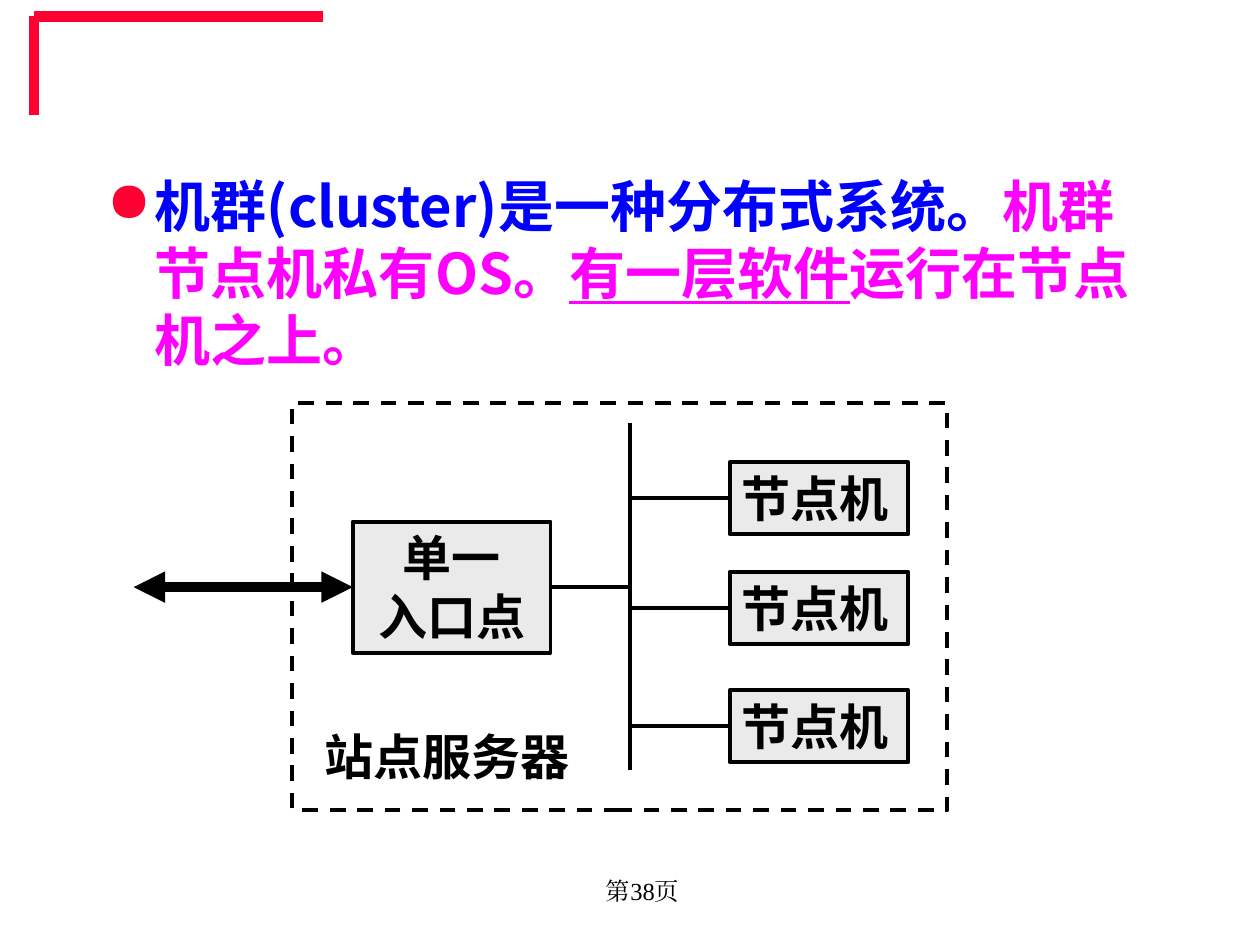
from pptx import Presentation
from pptx.dml.color import RGBColor
from pptx.enum.dml import MSO_LINE
from pptx.enum.shapes import MSO_CONNECTOR, MSO_SHAPE
from pptx.enum.text import MSO_ANCHOR, PP_ALIGN
from pptx.oxml.ns import qn
from pptx.util import Inches, Pt
from lxml.etree import SubElement

SANS, SERIF = "Noto Sans CJK SC", "Times New Roman"
BLACK, RED, BLUE, PINK, GREY = "000000", "FF0033", "0000FF", "FF00FF", "EAEAEA"


def rgb(value):
    return RGBColor.from_string(value)


class Deck:
    def __init__(self, prs):
        self.s = prs.slides.add_slide(prs.slide_layouts[6])

    def run(self, p, text, size=28, color=BLACK, font=SANS, bold=True, underline=None):
        r = p.add_run()
        r.text = text
        f = r.font
        f.size, f.bold, f.underline, f.name = Pt(size), bold, underline, font
        f.color.rgb = rgb(color)
        SubElement(r._r.get_or_add_rPr(), qn("a:ea")).set("typeface", font)

    def paragraph(self, tf, first=True, align=PP_ALIGN.LEFT):
        p = tf.paragraphs[0] if first else tf.add_paragraph()
        p.alignment = align
        return p

    def bullet(self, p, char, color, indent=0.38):
        pPr = p._p.get_or_add_pPr()
        pPr.set("marL", str(Inches(indent)))
        pPr.set("indent", str(-Inches(indent)))
        SubElement(SubElement(pPr, qn("a:buClr")), qn("a:srgbClr")).set("val", color)
        SubElement(pPr, qn("a:buChar")).set("char", char)

    def textbox(self, x, y, w, h, anchor=MSO_ANCHOR.TOP):
        sp = self.s.shapes.add_textbox(Inches(x), Inches(y), Inches(w), Inches(h))
        tf = sp.text_frame
        tf.word_wrap, tf.vertical_anchor = True, anchor
        return tf

    def box(self, x, y, w, h, lines=(), fill=None, align=PP_ALIGN.LEFT, dash=None):
        sp = self.s.shapes.add_shape(
            MSO_SHAPE.RECTANGLE, Inches(x), Inches(y), Inches(w), Inches(h))
        sp.shadow.inherit = False
        if fill:
            sp.fill.solid()
            sp.fill.fore_color.rgb = rgb(fill)
        else:
            sp.fill.background()
        sp.line.color.rgb, sp.line.width = rgb(BLACK), Pt(2.25)
        if dash:
            sp.line.dash_style = dash
        tf = sp.text_frame
        tf.word_wrap, tf.vertical_anchor = True, MSO_ANCHOR.TOP
        for i, text in enumerate(lines):
            self.run(self.paragraph(tf, i == 0, align), text)
        return sp

    def line(self, x1, y1, x2, y2, color=BLACK, width=2.25, arrows=False):
        c = self.s.shapes.add_connector(
            MSO_CONNECTOR.STRAIGHT, Inches(x1), Inches(y1), Inches(x2), Inches(y2))
        c.line.color.rgb, c.line.width = rgb(color), Pt(width)
        if arrows:
            ln = c.line._get_or_add_ln()
            for end in ("a:headEnd", "a:tailEnd"):
                SubElement(ln, qn(end)).set("type", "triangle")
        SubElement(c._element.spPr, qn("a:effectLst"))
        return c


def main():
    prs = Presentation()
    prs.slide_width, prs.slide_height = Inches(10), Inches(7.5)
    deck = Deck(prs)

    # Corner mark and page number
    deck.line(0.27, 0.13, 2.56, 0.13, RED, 6)
    deck.line(0.27, 0.13, 0.27, 0.91, RED, 6)
    tf = deck.textbox(4.06, 6.82, 2.08, 0.5, MSO_ANCHOR.MIDDLE)
    deck.run(deck.paragraph(tf, align=PP_ALIGN.CENTER), "第38页", 14, font=SERIF, bold=False)

    # Definition
    p = deck.paragraph(deck.textbox(0.75, 1.31, 8.5, 1.82))
    deck.bullet(p, "●", RED)
    deck.run(p, "机群(cluster)是一种分布式系统。", 32, BLUE)
    deck.run(p, "机群节点机私有OS。", 32, PINK)
    deck.run(p, "有一层软件", 32, PINK, underline=True)
    deck.run(p, "运行在节点机之上。", 32, PINK)

    # Cluster diagram
    bus_x, node_x, node_h = 5, 5.79, 0.57
    entry_x, entry_y, entry_w, entry_h = 2.8, 4.14, 1.57, 1.04
    entry = deck.box(entry_x, entry_y, entry_w, entry_h, ("单一", "入口点"),
                     GREY, PP_ALIGN.CENTER)
    deck.line(bus_x, 3.36, bus_x, 6.11)
    for y in (3.67, 4.54, 5.48):
        node = deck.box(node_x, y, 1.42, node_h, ("节点机",), GREY)
        mid = y + node_h / 2
        deck.line(bus_x, mid, node_x, mid).end_connect(node, 1)
    mid = entry_y + entry_h / 2
    deck.line(entry_x + entry_w, mid, bus_x, mid).begin_connect(entry, 3)
    deck.line(1.06, mid, entry_x, mid, width=6, arrows=True).end_connect(entry, 1)
    deck.box(2.32, 3.2, 5.2, 3.23, dash=MSO_LINE.DASH)
    deck.run(deck.paragraph(deck.textbox(2.48, 5.72, 2.36, 0.57)), "站点服务器")

    prs.save("out.pptx")


if __name__ == "__main__":
    main()
